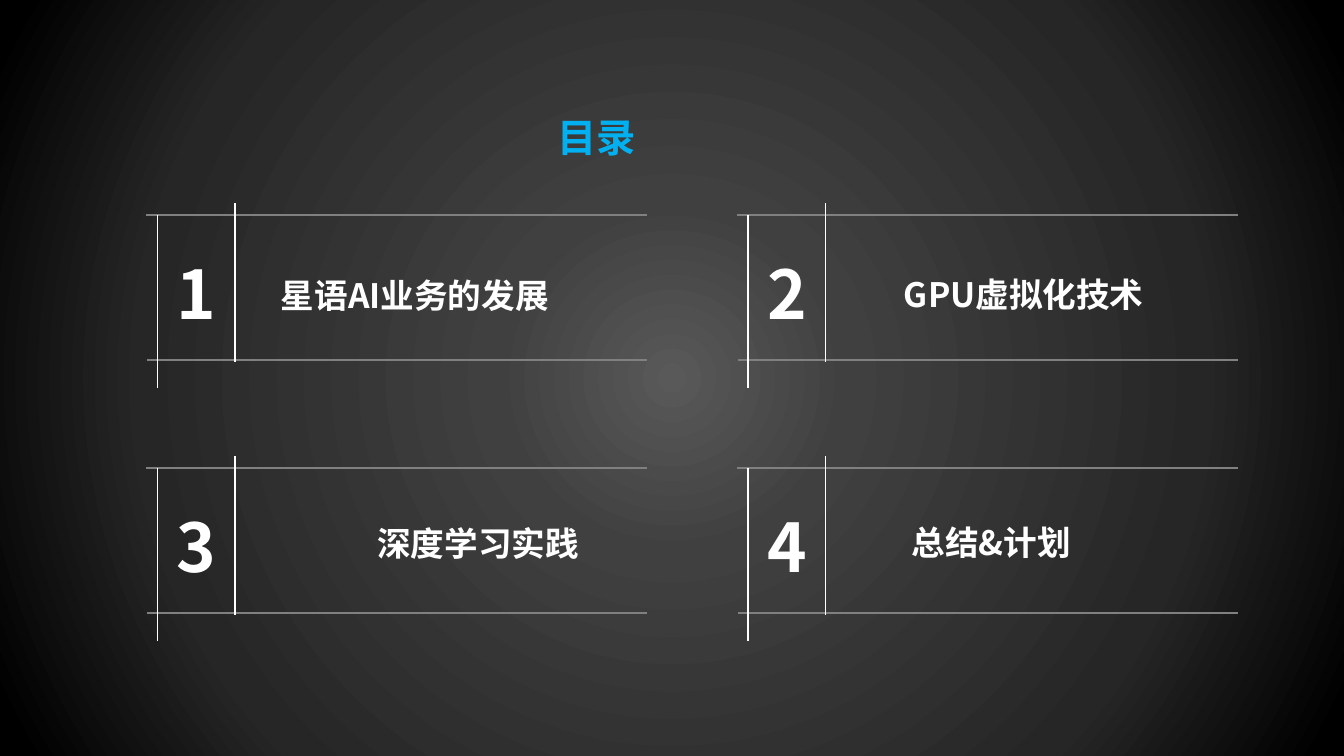
from lxml import etree
from pptx import Presentation
from pptx import util as u
from pptx.dml.color import RGBColor
from pptx.enum import shapes, text
from pptx.oxml import parse_xml
from pptx.oxml.ns import nsdecls, qn

FONT = "Noto Sans CJK SC"
WHITE, GREY, BLUE = "FFFFFF", "808080", "00B0F0"


def add_text(parent, words, box, size, color, align, wrap=True):
    """Add a text box holding one bold run, in the same font for Latin and Chinese."""
    frame = parent.shapes.add_textbox(*map(u.Inches, box)).text_frame
    frame.word_wrap = wrap
    frame.auto_size = text.MSO_AUTO_SIZE.SHAPE_TO_FIT_TEXT
    paragraph = frame.paragraphs[0]
    paragraph.alignment = align
    run = paragraph.add_run()
    run.text = words
    run.font.size = u.Pt(size)
    run.font.bold = True
    run.font.name = FONT
    run.font.color.rgb = RGBColor.from_string(color)
    east_asian = etree.SubElement(run.font._element, qn("a:ea"))
    east_asian.set("typeface", FONT)


def add_line(parent, ends, color, width):
    line = parent.shapes.add_connector(
        shapes.MSO_CONNECTOR.STRAIGHT, *map(u.Inches, ends))
    line.line.color.rgb = RGBColor.from_string(color)
    line.line.width = u.Pt(width)
    etree.SubElement(line._element.spPr, qn("a:effectLst"))


prs = Presentation()
prs.slide_width = u.Inches(13.33)
prs.slide_height = u.Inches(7.5)
slide = prs.slides.add_slide(prs.slide_layouts[6])

# Radial background, light in the middle
slide.background.fill.solid()
solid = next(slide.element.iter(qn("a:solidFill")))
glow = [(0, "595959"), (23, "404040"), (69, "262626"), (97, "000000")]
stops = "".join(
    f'<a:gs pos="{pos * 1000}"><a:srgbClr val="{color}"/></a:gs>'
    for pos, color in glow)
solid.getparent().replace(solid, parse_xml(
    f'<a:gradFill {nsdecls("a")} rotWithShape="1"><a:gsLst>{stops}</a:gsLst>'
    '<a:path path="circle">'
    '<a:fillToRect l="50000" t="50000" r="50000" b="50000"/>'
    '</a:path></a:gradFill>'))

add_text(slide, "目录", (5.43, 1.08, 1.55, 0.57), 28, BLUE, text.PP_ALIGN.JUSTIFY)

# Frame lines relative to the top left corner of an entry
FRAME = [
    ((0, 0, 4.97, 0), GREY, 1.5),
    ((0.01, 1.44, 4.97, 1.44), GREY, 1.5),
    ((0.11, 0, 0.11, 1.72), WHITE, 1),
    ((0.88, 1.46, 0.88, -0.12), WHITE, 1),
]
LEFT, TOP, COLUMN_STEP, ROW_STEP = 1.45, 2.13, 5.86, 2.51

topics = [
    ("星语AI业务的发展", (2.29, 2.68, 3.25, 0.5)),
    ("GPU虚拟化技术", (7.75, 2.67, 3.69, 0.5)),
    ("深度学习实践", (2.03, 5.14, 3.81, 0.5)),
    ("总结&计划", (7.74, 5.13, 2.98, 0.5)),
]
for index, (topic, topic_box) in enumerate(topics):
    row, column = divmod(index, 2)
    x = LEFT + column * COLUMN_STEP
    y = TOP + row * ROW_STEP
    entry = slide.shapes.add_group_shape()
    for (x1, y1, x2, y2), color, width in FRAME:
        add_line(entry, (x + x1, y + y1, x + x2, y + y2), color, width)
    add_text(entry, str(index + 1), (x + 0.2, y + 0.32, 0.62, 0.91), 48, WHITE,
             text.PP_ALIGN.LEFT, wrap=False)
    add_text(slide, topic, topic_box, 24, WHITE, text.PP_ALIGN.RIGHT)

prs.save("out.pptx")
